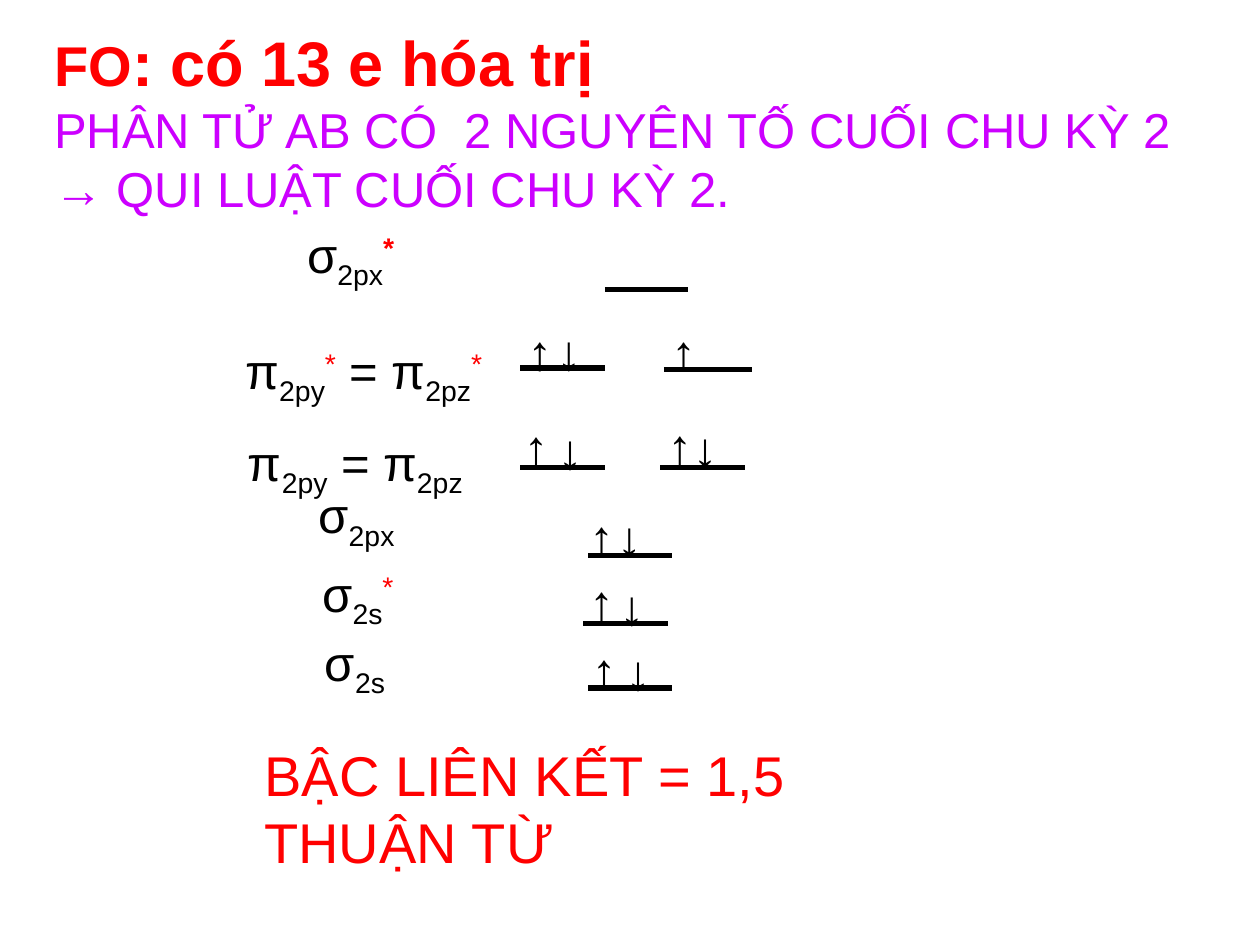
from lxml import etree
from pptx import Presentation
from pptx.dml.color import RGBColor
from pptx.enum import shapes, text
from pptx.oxml.ns import qn
from pptx.util import Inches, Pt

BLACK = RGBColor(0, 0, 0)
RED = RGBColor(255, 0, 0)
PURPLE = RGBColor(0xCC, 0, 0xFF)
FONT = "Arial"

SUB = {"base": -25}
STAR = ("*", {"base": 30, "color": RED})
BOLD_STAR = ("*", {"base": 30, "color": RED, "bold": True})
UP, DOWN = "↑", "↓"

# Each level: label runs, label box, then its orbitals.
# Each orbital: left, top, width of the bar, then the spins as
# (arrow, shift from the bar's left, rise above the bar).
LEVELS = [
    ([("σ", {}), ("2px", SUB), BOLD_STAR], (2.34, 1.73, 1.17, 0.63),
     [(4.8, 2.3, 0.66, [])]),
    ([("π", {}), ("2py", SUB), STAR, (" = π", {}), ("2pz", SUB), STAR],
     (1.85, 2.65, 2.33, 1.1),
     [(4.13, 2.92, 0.67, [(UP, -0.04, 0.42), (DOWN, 0.19, 0.42)]),
      (5.27, 2.93, 0.7, [(UP, -0.04, 0.43)])]),
    ([("π", {}), ("2py", SUB), (" = π", {}), ("2pz", SUB)],
     (1.87, 3.38, 2.33, 1.16),
     [(4.13, 3.71, 0.67, [(UP, -0.07, 0.45), (DOWN, 0.2, 0.42)]),
      (5.24, 3.71, 0.67, [(UP, -0.04, 0.46), (DOWN, 0.16, 0.44)])]),
    ([("σ", {}), ("2px", SUB)], (2.43, 3.8, 1.17, 0.63),
     [(4.67, 4.41, 0.66, [(UP, -0.09, 0.44), (DOWN, 0.13, 0.43)])]),
    ([("σ", {}), ("2s", SUB), STAR], (2.46, 4.42, 1.17, 0.63),
     [(4.63, 4.95, 0.67, [(UP, -0.05, 0.46), (DOWN, 0.19, 0.42)])]),
    ([("σ", {}), ("2s", SUB)], (2.48, 4.97, 1.17, 0.63),
     [(4.67, 5.46, 0.66, [(UP, -0.07, 0.43), (DOWN, 0.2, 0.42)])]),
]


def add_run(para, words, size=28, color=BLACK, bold=False, base=0):
    run = para.add_run()
    run.text = words
    font = run.font
    font.name, font.size, font.bold = FONT, Pt(size), bold
    font.color.rgb = color
    if base:
        run._r.get_or_add_rPr().set("baseline", str(base * 1000))


def fill_text(shape, lines):
    """Write lines, each a list of (words, format) runs."""
    frame = shape.text_frame
    frame.word_wrap = True
    frame.auto_size = text.MSO_AUTO_SIZE.NONE
    frame.vertical_anchor = text.MSO_ANCHOR.TOP
    for index, runs in enumerate(lines):
        para = frame.add_paragraph() if index else frame.paragraphs[0]
        para.alignment = text.PP_ALIGN.LEFT
        for words, style in runs:
            add_run(para, words, **style)


def add_text(slide, box, lines):
    fill_text(slide.shapes.add_textbox(*map(Inches, box)), lines)


def add_bar(slide, left, top, width):
    bar = slide.shapes.add_connector(
        shapes.MSO_CONNECTOR.STRAIGHT,
        *map(Inches, (left, top, left + width, top)))
    bar.line.color.rgb = BLACK
    bar.line.width = Pt(3)
    etree.SubElement(bar._element.spPr, qn("a:effectLst"))


def add_level(slide, label, box, orbitals):
    add_text(slide, box, [label])
    for left, top, width, spins in orbitals:
        add_bar(slide, left, top, width)
        for arrow, shift, rise in spins:
            spot = (left + shift, top - rise, 0.67, 0.57)
            add_text(slide, spot, [[(arrow, {"bold": True})]])


def add_title(slide, box):
    title = slide.shapes.title
    title.left, title.top, title.width, title.height = map(Inches, box)
    rule = {"color": PURPLE}
    fill_text(title, [
        [("FO", {"size": 32, "color": RED, "bold": True}),
         (": có 13 e hóa trị", {"size": 36, "color": RED, "bold": True})],
        [("PHÂN TỬ AB CÓ  2 NGUYÊN TỐ CUỐI CHU KỲ 2", rule)],
        [("→ QUI LUẬT CUỐI CHU KỲ 2.", rule)],
    ])


def add_result(slide, box):
    style = {"size": 32, "color": RED}
    add_text(slide, box, [[("BẬC LIÊN KẾT = 1,5", style)],
                          [("THUẬN TỪ", style)]])


def main():
    deck = Presentation()
    deck.slide_width, deck.slide_height = Inches(10), Inches(7.5)
    slide = deck.slides.add_slide(deck.slide_layouts[5])
    add_title(slide, (0.33, 0.14, 10.5, 1.64))
    for level in LEVELS:
        add_level(slide, *level)
    add_result(slide, (2, 5.83, 4.5, 1.17))
    deck.save("out.pptx")


if __name__ == "__main__":
    main()
